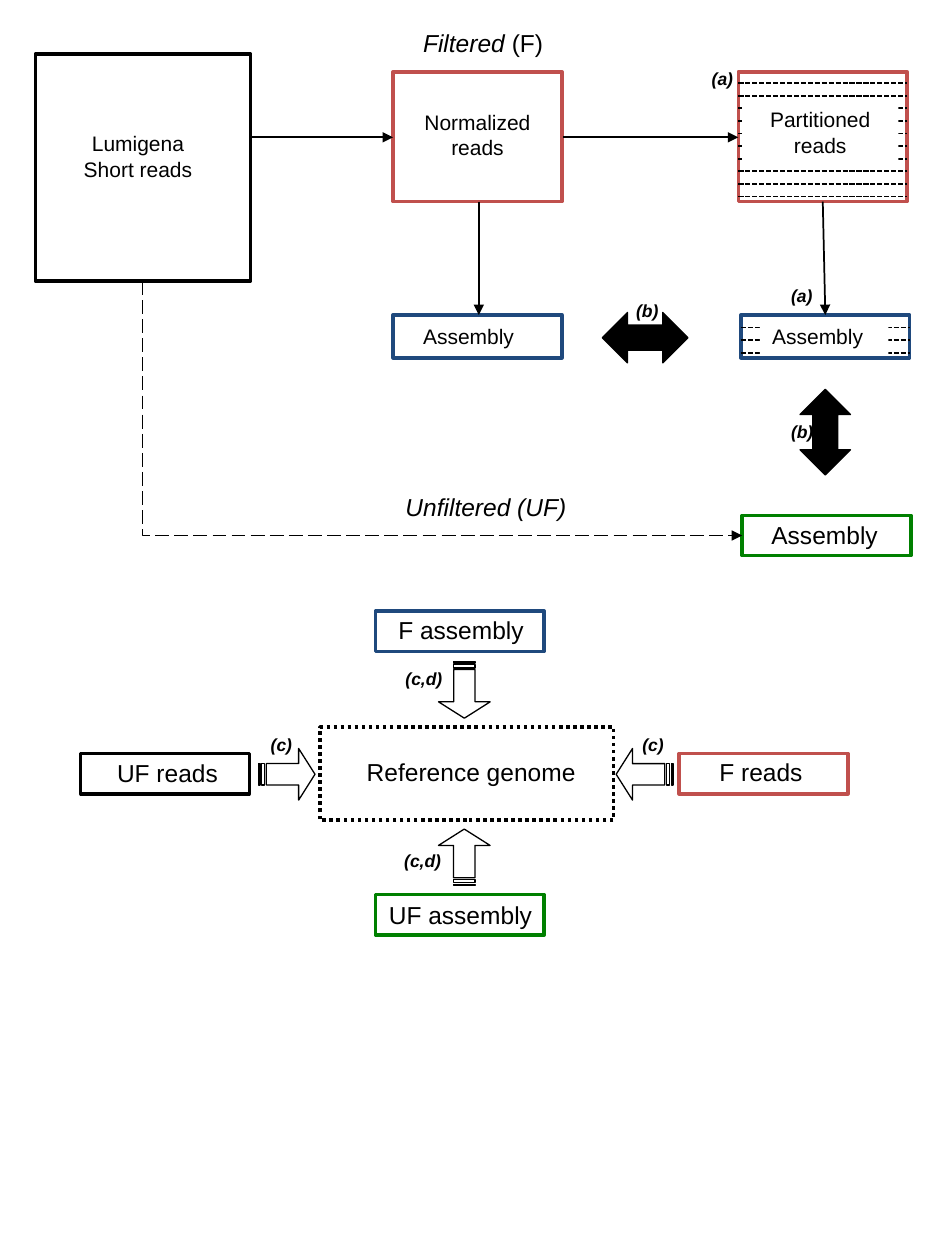
import dataclasses
import typing

import lxml.etree
import pptx
import pptx.dml.color
import pptx.enum.dml
import pptx.enum.shapes
import pptx.enum.text
import pptx.oxml.ns
import pptx.util

EMU_PER_PX = 9144
BLACK, WHITE, RED, BLUE, GREEN = "000000", "FFFFFF", "C0504D", "1F497D", "008000"
SHAPES = pptx.enum.shapes.MSO_SHAPE
DASHES = pptx.enum.dml.MSO_LINE
CENTER = pptx.enum.text.PP_ALIGN.CENTER
LEFT = pptx.enum.text.PP_ALIGN.LEFT
TOP = pptx.enum.text.MSO_ANCHOR.TOP
MIDDLE = pptx.enum.text.MSO_ANCHOR.MIDDLE
qn = pptx.oxml.ns.qn


@dataclasses.dataclass(frozen=True)
class Area:
    left: int
    top: int
    width: int
    height: int


@dataclasses.dataclass(frozen=True)
class Frame:
    area: Area
    color: str
    dash: typing.Any = None


@dataclasses.dataclass(frozen=True)
class Label:
    text: str
    area: Area
    size: int = 14
    alignment: typing.Any = CENTER
    bold: bool = False
    italic: bool = False
    wrap: bool = True


@dataclasses.dataclass(frozen=True)
class BlockArrow:
    area: Area
    rotation: int = 0


def px(length: int) -> int:
    return pptx.util.Emu(length * EMU_PER_PX)


def rgb(color: str) -> pptx.dml.color.RGBColor:
    return pptx.dml.color.RGBColor.from_string(color)


def box(area: Area) -> tuple:
    return px(area.left), px(area.top), px(area.width), px(area.height)


def add_preset(slide, kind, area: Area, fill: str = "", line: str = "", width: float = 2):
    shape = slide.shapes.add_shape(kind, *box(area))
    shape.shadow.inherit = False
    if fill:
        shape.fill.solid()
        shape.fill.fore_color.rgb = rgb(fill)
    else:
        shape.fill.background()
    if line:
        shape.line.color.rgb = rgb(line)
        shape.line.width = pptx.util.Pt(width)
    else:
        shape.line.fill.background()
    return shape


def add_frame(slide, frame: Frame) -> None:
    shape = add_preset(slide, SHAPES.RECTANGLE, frame.area, line=frame.color)
    if frame.dash:
        shape.line.dash_style = frame.dash


def write(shape, label: Label, anchor=TOP) -> None:
    text_frame = shape.text_frame
    text_frame.word_wrap = label.wrap
    text_frame.vertical_anchor = anchor
    text_frame.text = label.text
    for paragraph in text_frame.paragraphs:
        paragraph.alignment = label.alignment
        font = paragraph.font
        font.name, font.size = "Arial", pptx.util.Pt(label.size)
        font.bold, font.italic = label.bold, label.italic
        font.color.rgb = rgb(BLACK)


def add_label(slide, label: Label):
    shape = slide.shapes.add_textbox(*box(label.area))
    write(shape, label)
    return shape


def add_patch(slide, label: Label, anchor) -> None:
    write(add_preset(slide, SHAPES.RECTANGLE, label.area, fill=WHITE), label, anchor)


def add_line(slide, start: tuple[int, int], end: tuple[int, int], dash=None, arrow: bool = False):
    connector = slide.shapes.add_connector(
        pptx.enum.shapes.MSO_CONNECTOR.STRAIGHT, *map(px, start + end))
    connector.line.color.rgb = rgb(BLACK)
    connector.line.width = pptx.util.Pt(1)
    if dash:
        connector.line.dash_style = dash
    properties = connector._element.spPr
    if arrow:
        lxml.etree.SubElement(properties.find(qn("a:ln")), qn("a:tailEnd"), type="triangle")
    lxml.etree.SubElement(properties, qn("a:effectLst"))
    return connector


def add_stripes(slide, left: int, right: int, first: int, count: int) -> None:
    for index in range(count):
        y = first + 10 * index
        add_line(slide, (left, y), (right, y), DASHES.SQUARE_DOT)


def add_unfiltered_path(slide) -> None:
    connector = add_line(slide, (250, 86), (452, 562), DASHES.LONG_DASH, arrow=True)
    properties = connector._element.spPr
    properties.find(qn("a:prstGeom")).set("prst", "bentConnector2")
    transform = properties.find(qn("a:xfrm"))
    transform.set("rot", str(270 * 60000))
    transform.set("flipH", "1")


def add_block_arrow(slide, arrow: BlockArrow, kind, adjustments: tuple, fill: str = "") -> None:
    shape = add_preset(slide, kind, arrow.area, fill, BLACK, 0.75)
    shape.rotation = arrow.rotation
    for index, value in enumerate(adjustments):
        shape.adjustments[index] = value


FRAMES = [
    Frame(Area(28, 43, 171, 180), BLACK),
    Frame(Area(312, 57, 134, 103), RED),
    Frame(Area(586, 57, 134, 103), RED),
    Frame(Area(312, 250, 134, 34), BLUE),
    Frame(Area(588, 250, 134, 34), BLUE),
    Frame(Area(589, 409, 134, 32), GREEN),
    Frame(Area(254, 577, 233, 74), BLACK, DASHES.ROUND_DOT),
    Frame(Area(298, 485, 134, 32), BLUE),
    Frame(Area(298, 710, 134, 32), GREEN),
    Frame(Area(64, 598, 134, 32), BLACK),
    Frame(Area(539, 598, 134, 32), RED),
]

LABELS = [
    Label("Lumigena\nShort reads", Area(39, 99, 141, 50), 12),
    Label("Normalized\nreads", Area(312, 82, 134, 50), 12),
    Label("Assembly", Area(596, 408, 117, 34)),
    Label("Reference genome", Area(272, 596, 204, 34)),
    Label("F assembly", Area(293, 483, 146, 34)),
    Label("UF assembly", Area(284, 709, 163, 34)),
    Label("UF reads", Area(60, 597, 146, 34)),
    Label("F reads", Area(531, 596, 146, 34)),
    Label("Unfiltered (UF)", Area(312, 386, 154, 34), alignment=LEFT, italic=True, wrap=False),
]

STEPS = [
    ("(a)", 555, 49, 41), ("(a)", 618, 221, 41),
    ("(b)", 495, 233, 41), ("(b)", 618, 329, 40),
    ("(c)", 500, 578, 41), ("(c)", 205, 578, 41),
    ("(c,d)", 312, 525, 64), ("(c,d)", 311, 670, 64),
]

ARROW_LINES = [
    ((199, 109), (312, 109)),
    ((447, 109), (586, 109)),
    ((653, 160), (655, 250)),
    ((380, 160), (380, 250)),
]

STRIPED_ARROWS = [
    BlockArrow(Area(346, 527, 45, 41), 90),
    BlockArrow(Area(346, 660, 45, 41), 270),
    BlockArrow(Area(205, 594, 45, 41)),
    BlockArrow(Area(489, 594, 45, 41), 180),
]

COMPARISON_ARROWS = [
    BlockArrow(Area(635, 309, 40, 68)),
    BlockArrow(Area(492, 234, 40, 68), 270),
]


def main() -> None:
    presentation = pptx.Presentation()
    presentation.slide_width, presentation.slide_height = px(750), px(1000)
    slide = presentation.slides.add_slide(presentation.slide_layouts[6])
    for frame in FRAMES:
        add_frame(slide, frame)
    add_stripes(slide, 586, 720, 66, 10)
    add_stripes(slide, 588, 722, 260, 3)
    add_patch(slide, Label("Partitioned reads", Area(589, 80, 124, 50), 12), TOP)
    for area in (Area(326, 252, 110, 30), Area(603, 252, 102, 30)):
        add_patch(slide, Label("Assembly", area, 12, LEFT), MIDDLE)
    for start, end in ARROW_LINES:
        add_line(slide, start, end, arrow=True)
    add_unfiltered_path(slide)
    for arrow in STRIPED_ARROWS:
        add_block_arrow(slide, arrow, SHAPES.STRIPED_RIGHT_ARROW, (0.413, 0.317))
    for arrow in COMPARISON_ARROWS:
        add_block_arrow(slide, arrow, SHAPES.UP_DOWN_ARROW, (0.341, 0.5), BLACK)
    for label in LABELS:
        add_label(slide, label)
    filtered = add_label(
        slide, Label("Filtered", Area(326, 17, 117, 34), alignment=LEFT, italic=True, wrap=False))
    suffix = filtered.text_frame.paragraphs[0].add_run()
    suffix.text = " (F)"
    suffix.font.italic = False
    for text, left, top, width in STEPS:
        add_label(slide, Label(text, Area(left, top, width, 27), 10, LEFT, bold=True, italic=True))
    presentation.save("out.pptx")


if __name__ == "__main__":
    main()
